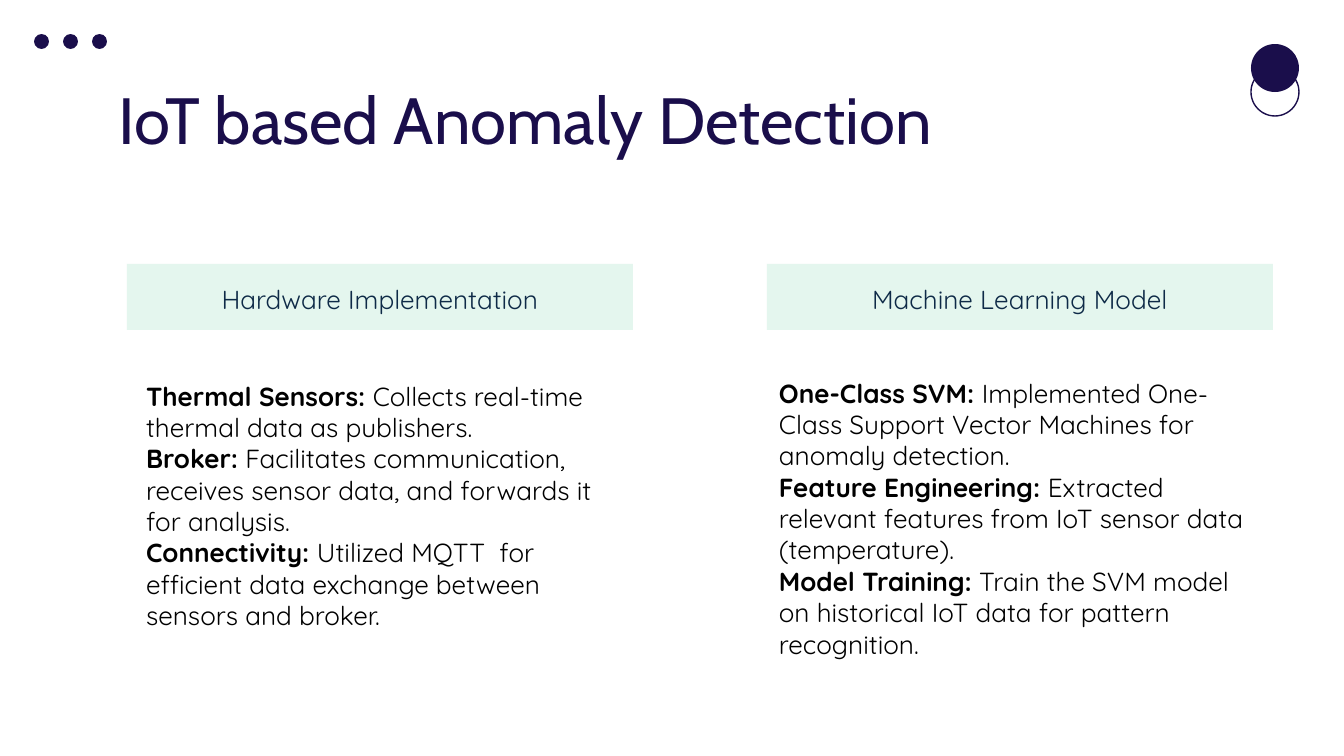
from lxml import etree
from pptx import Presentation
from pptx import util as u
from pptx.dml.color import RGBColor
from pptx.enum import shapes, text
from pptx.oxml.ns import qn

# Content
TITLE = "IoT based Anomaly Detection"
COLUMNS = [
    ("Hardware Implementation", [
        ("Thermal Sensors:", " Collects real-time thermal data as publishers."),
        ("Broker:", " Facilitates communication, receives sensor data, "
                    "and forwards it for analysis."),
        ("Connectivity: ", "Utilized MQTT  for efficient data exchange "
                           "between sensors and broker."),
    ]),
    ("Machine Learning Model", [
        ("One-Class SVM: ", "Implemented One-Class Support Vector Machines "
                            "for anomaly detection."),
        ("Feature Engineering:", " Extracted relevant features from IoT "
                                 "sensor data (temperature)."),
        ("Model Training:", " Train the SVM model on historical IoT data "
                            "for pattern recognition."),
    ]),
]

# Layout in px, 134.4 px to the inch
SCALE = 914400 / 134.4
WIDTH, HEIGHT = 1344, 756
INSET = 13
TITLE_BOX = (106, 66, 1133, 85)
HEADER_X, HEADER_STEP = 127, 640
HEADER_Y, HEADER_W, HEADER_H = 264, 506, 66
BODY_BOXES = [(133, 367, 493, 312), (766, 364, 507, 316)]
DOT_X, DOT_Y, DOT_STEP, DOT_SIZE = 34, 34, 29, 15
RING_X, RING_Y, RING_SIZE = 1251, 44, 48

NAVY = RGBColor(0x1A, 0x0E, 0x4B)
INK = RGBColor(0x0E, 0x2A, 0x47)
MINT = RGBColor(0xC8, 0xEE, 0xDD)
BLACK = RGBColor(0, 0, 0)


def px(n):
    return u.Emu(round(n * SCALE))


def add_shape(s, kind, box, fill=None, line=None, alpha=None):
    sp = s.shapes.add_shape(kind, *map(px, box))
    sp.shadow.inherit = False
    if fill is None:
        sp.fill.background()
    else:
        sp.fill.solid()
        sp.fill.fore_color.rgb = fill
    if alpha is not None:
        color = sp.fill._xPr.find(qn("a:solidFill"))[0]
        etree.SubElement(color, qn("a:alpha")).set("val", str(alpha * 1000))
    if line is None:
        sp.line.fill.background()
    else:
        sp.line.color.rgb = line
        sp.line.width = u.Pt(0.75)
    return sp


def write(sp, paragraphs, size=14, font="Quicksand", color=BLACK,
          align=text.PP_ALIGN.LEFT, anchor=text.MSO_ANCHOR.TOP, spacing=1.0):
    """Each paragraph is a list of (words, bold) runs."""
    tf = sp.text_frame
    tf.word_wrap = True
    tf.vertical_anchor = anchor
    tf.margin_left = tf.margin_right = px(INSET)
    tf.margin_top = tf.margin_bottom = px(INSET)
    for i, runs in enumerate(paragraphs):
        p = tf.add_paragraph() if i else tf.paragraphs[0]
        p.alignment, p.line_spacing = align, spacing
        for words, bold in runs:
            r = p.add_run()
            r.text = words
            r.font.name, r.font.size, r.font.bold = font, u.Pt(size), bold
            r.font.color.rgb = color


prs = Presentation()
prs.slide_width, prs.slide_height = px(WIDTH), px(HEIGHT)
s = prs.slides.add_slide(prs.slide_layouts[6])
OVAL = shapes.MSO_SHAPE.OVAL

# Corner dots
for i in range(3):
    add_shape(s, OVAL, (DOT_X + i * DOT_STEP, DOT_Y, DOT_SIZE, DOT_SIZE), NAVY)

# Overlapping disc and ring
add_shape(s, OVAL, (RING_X, RING_Y, RING_SIZE, RING_SIZE), NAVY)
add_shape(s, OVAL, (RING_X, RING_Y + RING_SIZE // 2, RING_SIZE, RING_SIZE),
          line=NAVY)

# Title
write(s.shapes.add_textbox(*map(px, TITLE_BOX)), [[(TITLE, False)]],
      size=35, font="Cabin", color=NAVY)

# Columns: header band and body text
for i, ((header, items), box) in enumerate(zip(COLUMNS, BODY_BOXES)):
    band = add_shape(s, shapes.MSO_SHAPE.RECTANGLE,
                     (HEADER_X + i * HEADER_STEP, HEADER_Y, HEADER_W, HEADER_H),
                     MINT, alpha=49)
    write(band, [[(header, False)]], color=INK, align=text.PP_ALIGN.CENTER,
          anchor=text.MSO_ANCHOR.MIDDLE, spacing=1.15)
    write(s.shapes.add_textbox(*map(px, box)),
          [[(label, True), (detail, False)] for label, detail in items])

prs.save("out.pptx")
